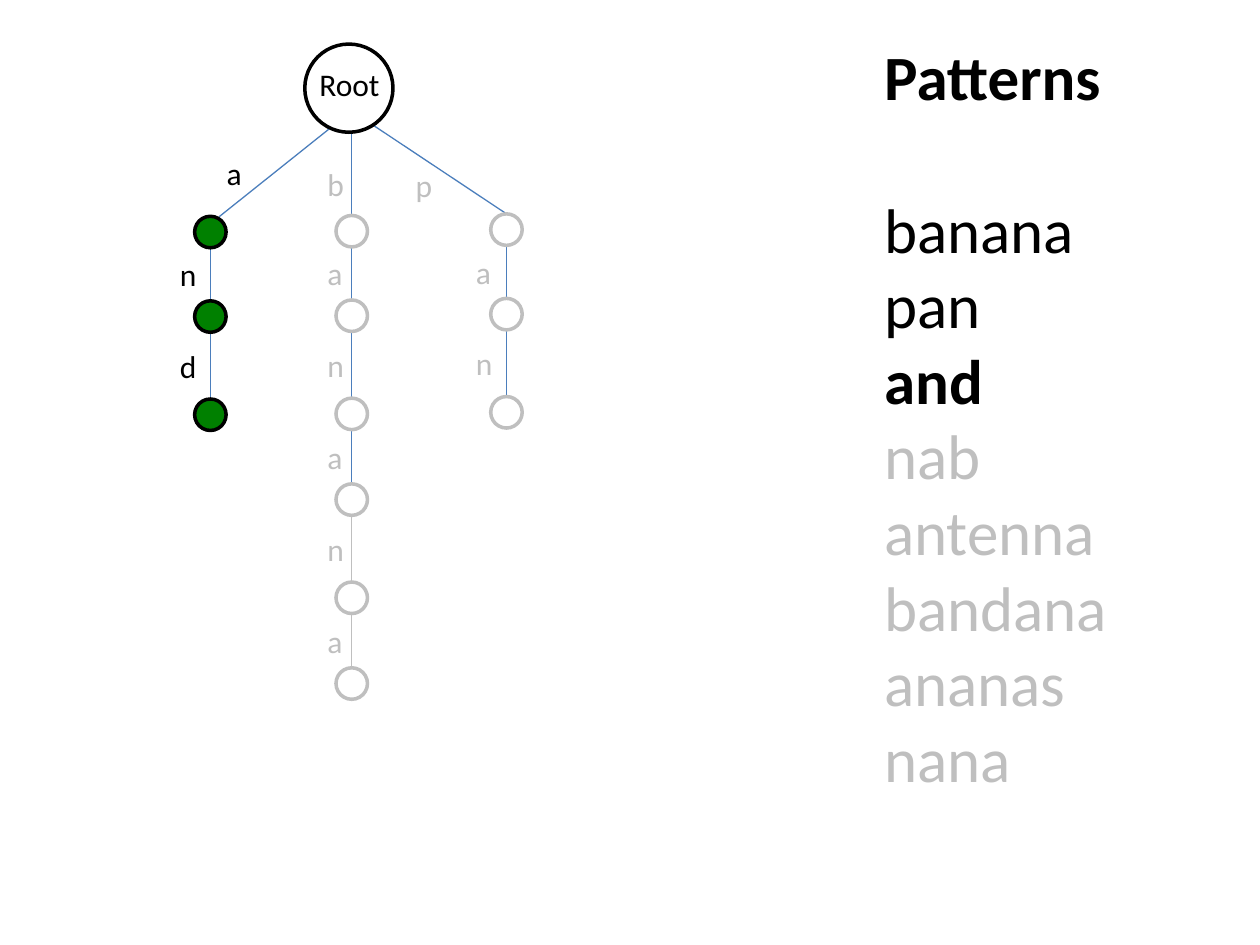
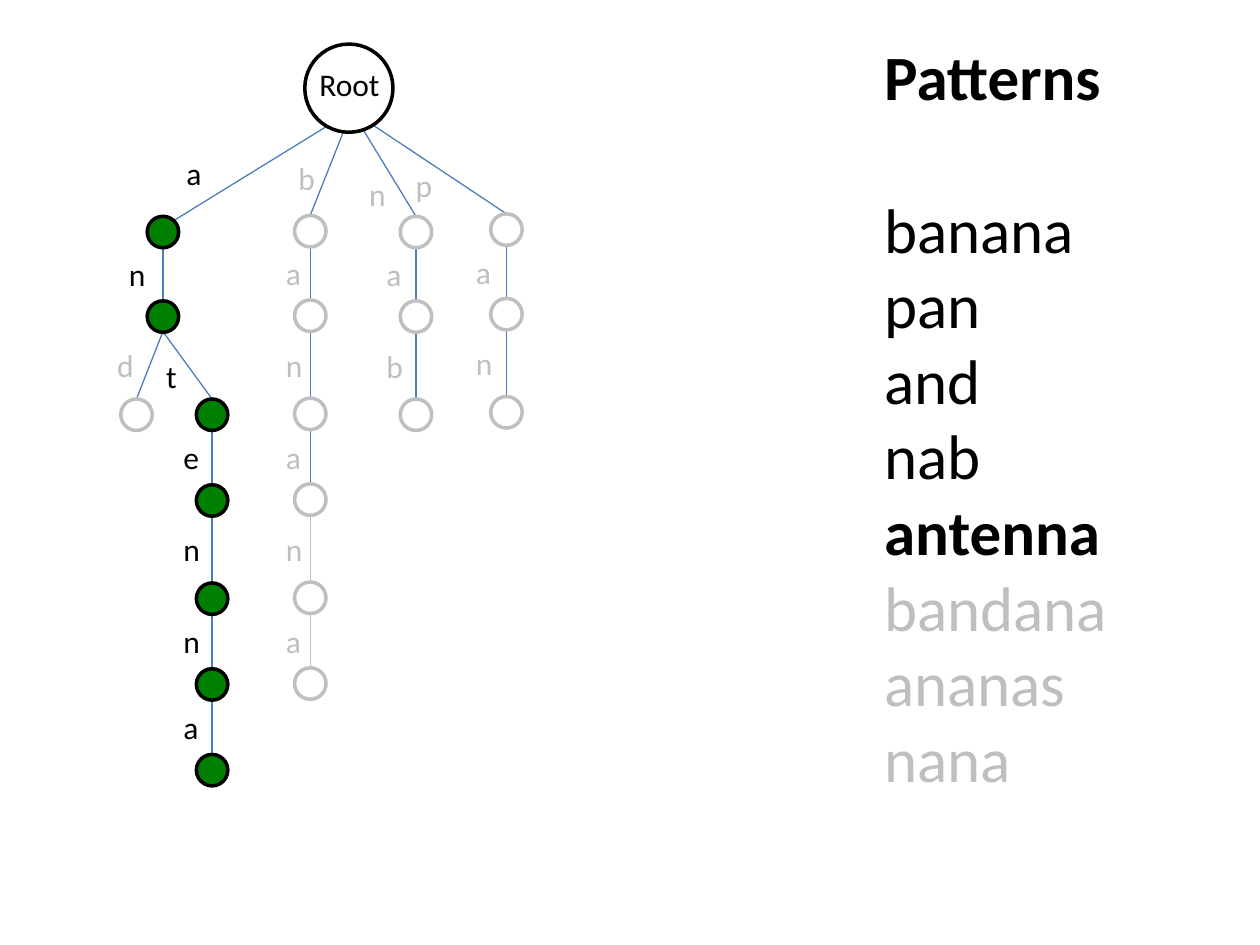
from collections import namedtuple

from lxml import etree
from pptx import Presentation
from pptx.dml.color import RGBColor
from pptx.enum import shapes, text
from pptx.oxml import ns
from pptx.util import Pt

BLACK, GREY, WHITE, GREEN, BLUE = "000000", "BFBFBF", "FFFFFF", "008000", "4B7EBC"
NODE_SIZE = 18
LABEL_HEIGHT = 29
LABEL_WIDTHS = {"a": 23.2, "e": 23.4, "t": 20.9}
LEVEL_TOPS = [123.1, 171.4, 227.5, 276.5, 332.6, 381.6, 430.6]
ROOT_CENTER = (201, 63.4)
PATTERNS = ["banana", "pan", "and", "nab", "antenna", "bandana", "ananas", "nana"]

Branch = namedtuple(
    "Branch",
    "letters center_x origin first_label label_gap shift first_level matched first_end",
    defaults=[0, 0, False, None],
)


def color(value):
    return RGBColor.from_string(value)


def add_text(slide, box, paragraphs, wrap=True, alignment=text.PP_ALIGN.LEFT):
    frame = slide.shapes.add_textbox(*map(Pt, box)).text_frame
    frame.word_wrap = wrap
    frame.auto_size = text.MSO_AUTO_SIZE.SHAPE_TO_FIT_TEXT
    for index, (content, size, hex_color, bold, space_before) in enumerate(paragraphs):
        paragraph = frame.paragraphs[0] if index == 0 else frame.add_paragraph()
        paragraph.alignment = alignment
        if space_before:
            paragraph.space_before = Pt(space_before)
        run = paragraph.add_run()
        run.text = content
        for name, value in {"name": "Calibri", "size": Pt(size), "bold": bold}.items():
            setattr(run.font, name, value)
        run.font.color.rgb = color(hex_color)


pan = Branch("pan", 289.4, ROOT_CENTER, (230.4, 91.4), 24.5, shift=-0.9)
an_end = (93.1, 189.5)
steps = [
    (
        "and",
        [
            Branch("banana", 201, ROOT_CENTER, (180, 90.7), 21),
            pan,
            Branch("and", 120.2, ROOT_CENTER, (122.4, 84.2), 24.5, 0.5,
                   matched=True, first_end=(125.3, 123.8)),
        ],
    ),
    (
        "antenna",
        [
            Branch("banana", 177.3, ROOT_CENTER, (163.4, 87.1), 21),
            pan,
            Branch("nab", 237.7, ROOT_CENTER, (203.8, 96.5), 24, 0.5),
            Branch("an", 93.1, ROOT_CENTER, (99.4, 84.2), 26.6, 0.5,
                   matched=True, first_end=(99.4, 126)),
            Branch("d", 78, an_end, (59.8, 194.4), 24, 0.5, first_level=2),
            Branch("tenna", 121.2, an_end, (87.8, 200.2), 23.5, 0.5,
                   first_level=2, matched=True),
        ],
    ),
]

presentation = Presentation()
presentation.slide_width = Pt(720)
presentation.slide_height = Pt(540)

for active, branches in steps:
    slide = presentation.slides.add_slide(presentation.slide_layouts[6])
    edges, labels, circles = [], [], []

    for branch in branches:
        start = branch.origin
        for index, letter in enumerate(branch.letters):
            level = branch.first_level + index
            top = LEVEL_TOPS[level] + branch.shift
            end = (branch.center_x, top)
            label = (branch.center_x - branch.label_gap,
                     (start[1] + top - LABEL_HEIGHT) / 2)
            if index == 0:
                end = branch.first_end or end
                label = branch.first_label
            ink = BLACK if branch.matched else GREY
            edges.append((start, end, GREY if level > 3 and not branch.matched else BLUE))
            labels.append((letter, label, ink))
            circles.append((branch.center_x - NODE_SIZE / 2, top, NODE_SIZE,
                            GREEN if branch.matched else WHITE, ink))
            start = (branch.center_x, top + NODE_SIZE)

    circles.append((174.2, 25.2, 50.4, WHITE, BLACK))

    for start, end, hex_color in edges:
        connector = slide.shapes.add_connector(
            shapes.MSO_CONNECTOR.STRAIGHT, *map(Pt, start + end))
        connector.line.color.rgb = color(hex_color)
        connector.line.width = Pt(0.75)
        etree.SubElement(connector._element.spPr, ns.qn("a:effectLst"))

    for left, top, size, fill, outline in circles:
        shape = slide.shapes.add_shape(
            shapes.MSO_SHAPE.OVAL, *map(Pt, (left, top, size, size)))
        shape.shadow.inherit = False
        shape.fill.solid()
        shape.fill.fore_color.rgb = color(fill)
        shape.line.color.rgb = color(outline)
        shape.line.width = Pt(2)

    for letter, position, ink in labels:
        box = (*position, LABEL_WIDTHS.get(letter, 24.3), LABEL_HEIGHT)
        add_text(slide, box, [(letter, 18, ink, False, 0)], wrap=False)

    add_text(slide, (174.2, 33.8, 51, LABEL_HEIGHT),
             [("Root", 18, BLACK, False, 0)], alignment=text.PP_ALIGN.CENTER)

    active_index = PATTERNS.index(active)
    lines = [("Patterns", 36, BLACK, True, 0)]
    for index, pattern in enumerate(PATTERNS):
        ink = BLACK if index <= active_index else GREY
        lines.append((pattern, 36, ink, pattern == active, 43.9 if index == 0 else 0))
    add_text(slide, (498.2, 18, 192.2, 443.5), lines)

presentation.save("out.pptx")
